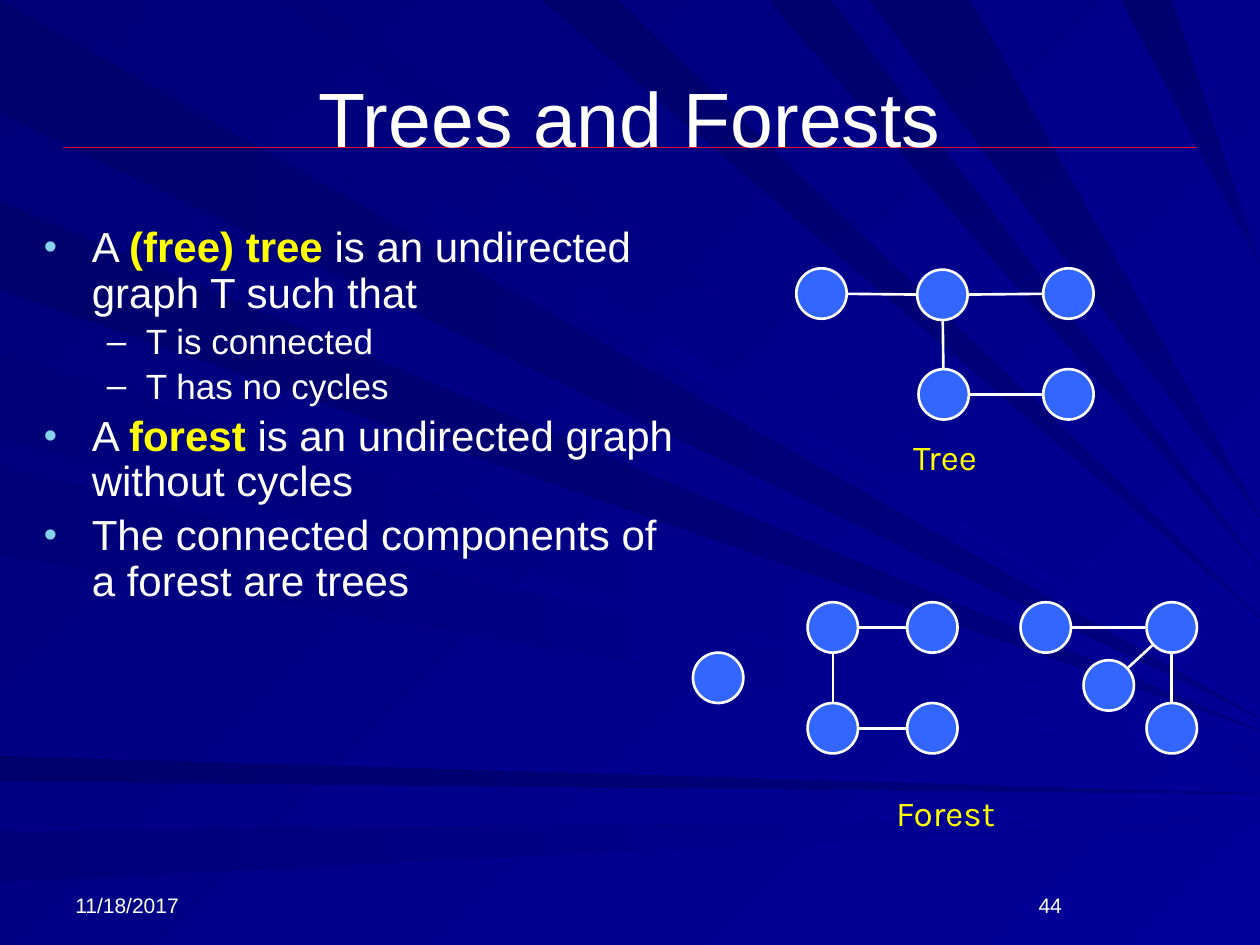
from math import hypot
from lxml.etree import SubElement
from pptx import Presentation
from pptx.dml.color import RGBColor
from pptx.enum.shapes import MSO_CONNECTOR, MSO_SHAPE
from pptx.enum.text import MSO_ANCHOR, PP_ALIGN
from pptx.oxml.ns import qn
from pptx.util import Inches, Pt

WHITE = RGBColor.from_string("FFFFFF")
YELLOW = RGBColor.from_string("FFFF00")
BLUE = RGBColor.from_string("3366FF")
RED = RGBColor.from_string("EF0129")
NAVY = RGBColor.from_string("000078")
ROYAL = RGBColor.from_string("000099")
DEEP = RGBColor.from_string("00006C")
DUSK = RGBColor.from_string("000080")
BULLET = "86D1EC"
DARK, SOFT = (DEEP, DUSK), (NAVY, ROYAL)
WIDE, HIGH = 10, 7.5

# Rays narrow to a tip on the right edge: start, end, tip height, shades
LEFT_RAYS = [
    (0, 0.9, 5.7, DARK),
    (6, 6.2, 6.3, DARK),
    (6.6, 7, 6.5, SOFT),
    (1.6, 2.3, 5.8, DARK),
    (2.8, 3.5, 6, SOFT),
    (3.7, 4.4, 6.1, SOFT),
]
TOP_RAYS = [
    (0.3, 1, 5.6, SOFT),
    (2.2, 2.5, 5.5, SOFT),
    (4.3, 4.9, 4.9, DARK),
    (6.1, 6.6, 4.5, DARK),
    (6.9, 7.7, 4.1, DARK),
    (8.9, 9.3, 2.1, DARK),
]

# Level and runs; a True marks a highlighted term
BODY = [
    (0, [("A ", False), ("(free) tree ", True), ("is an undirected graph T such that", False)]),
    (1, [("T is connected", False)]),
    (1, [("T has no cycles", False)]),
    (0, [("A ", False), ("forest ", True), ("is an undirected graph without cycles", False)]),
    (0, [("The connected components of a forest are trees", False)]),
]
# Size, left margin, indent, bullet
LEVELS = [(24, 0.38, -0.38, "•"), (20, 0.81, -0.31, "–")]

# Node centres by letter, and the pairs they join
NODES = {
    "a": (6.52, 2.33), "b": (7.48, 2.34), "c": (8.48, 2.33),
    "d": (7.49, 3.13), "e": (8.48, 3.13),
    "f": (5.7, 5.38),
    "g": (6.61, 4.98), "h": (7.4, 4.98), "i": (6.61, 5.78), "j": (7.4, 5.78),
    "k": (8.3, 4.98), "l": (9.3, 4.98), "m": (9.3, 5.78), "n": (8.8, 5.44),
}
EDGES = ["ab", "bc", "bd", "de", "gh", "gi", "ij", "kl", "lm", "ln"]
NODE = 0.4
GAP = 0.21

# Text, box, size, font, colour, alignment, anchor
LABELS = [
    ("11/18/2017", (0.5, 6.83, 2.33, 0.5), 12, "Arial", WHITE, PP_ALIGN.LEFT, MSO_ANCHOR.BOTTOM),
    ("44", (7.17, 6.83, 2.33, 0.5), 12, "Arial", WHITE, PP_ALIGN.CENTER, MSO_ANCHOR.BOTTOM),
    ("Tree", (5.94, 3.41, 3.12, 0.43), 20, "Karla", YELLOW, PP_ALIGN.CENTER, MSO_ANCHOR.TOP),
    ("Forest", (5.51, 6.23, 3.99, 0.43), 20, "Karla", YELLOW, PP_ALIGN.CENTER, MSO_ANCHOR.TOP),
]


def shade(fill, colors, angle):
    """Fill with a gradient; the angle runs counter-clockwise."""
    fill.gradient()
    fill.gradient_angle = angle
    for stop, color in zip(fill.gradient_stops, colors):
        stop.color.rgb = color


def style(font, size, name, color, bold=False):
    font.size, font.name, font.bold = Pt(size), name, bold
    font.color.rgb = color


def add_ray(shapes, corners, colors, angle):
    points = [(Inches(x), Inches(y)) for x, y in corners]
    form = shapes.build_freeform(*points[0])
    form.add_line_segments(points[1:], close=True)
    ray = form.convert_to_shape()
    ray.shadow.inherit = False
    ray.line.fill.background()
    shade(ray.fill, colors, angle)


def add_line(shapes, start, end, color, width):
    line = shapes.add_connector(MSO_CONNECTOR.STRAIGHT, *map(Inches, start + end))
    line.line.color.rgb = color
    line.line.width = Pt(width)
    SubElement(line.element.spPr, qn("a:effectLst"))


def add_node(shapes, x, y):
    box = (x - NODE / 2, y - NODE / 2, NODE, NODE)
    node = shapes.add_shape(MSO_SHAPE.OVAL, *map(Inches, box))
    node.shadow.inherit = False
    node.fill.solid()
    node.fill.fore_color.rgb = BLUE
    node.line.color.rgb = WHITE
    node.line.width = Pt(1.5)


def add_edge(shapes, start, end):
    """Draw a line that stops at the rim of both nodes."""
    (x1, y1), (x2, y2) = start, end
    part = GAP / hypot(x2 - x1, y2 - y1)
    dx, dy = (x2 - x1) * part, (y2 - y1) * part
    add_line(shapes, (x1 + dx, y1 + dy), (x2 - dx, y2 - dy), WHITE, 1.5)


def add_box(shapes, box):
    frame = shapes.add_textbox(*map(Inches, box)).text_frame
    frame.word_wrap = True
    return frame


def add_body(shapes):
    frame = add_box(shapes, (0.25, 1.75, 5.25, 5.17))
    for i, (level, runs) in enumerate(BODY):
        para = frame.add_paragraph() if i else frame.paragraphs[0]
        size, margin, indent, mark = LEVELS[level]
        para.level = level
        para.line_spacing = 0.9
        para.space_before = Pt(size * 0.2)
        props = para._p.get_or_add_pPr()
        props.set("marL", str(Inches(margin)))
        props.set("indent", str(Inches(indent)))
        if level == 0:
            color = SubElement(props, qn("a:buClr"))
            SubElement(color, qn("a:srgbClr"), val=BULLET)
            SubElement(props, qn("a:buSzPct"), val="90000")
        SubElement(props, qn("a:buFont"), typeface="Arial")
        SubElement(props, qn("a:buChar"), char=mark)
        for text, term in runs:
            run = para.add_run()
            run.text = text
            style(run.font, size, "Arial", YELLOW if term else WHITE, term)


def main():
    deck = Presentation()
    deck.slide_width, deck.slide_height = Inches(WIDE), Inches(HIGH)
    slide = deck.slides.add_slide(deck.slide_layouts[5])
    shapes = slide.shapes
    shade(slide.background.fill, SOFT, 315)
    for start, end, tip, colors in LEFT_RAYS:
        add_ray(shapes, [(0, start), (WIDE, tip), (0, end)], colors, 0)
    for start, end, tip, colors in TOP_RAYS:
        add_ray(shapes, [(start, 0), (end, 0), (WIDE, tip)], colors, 315)
    add_line(shapes, (0.5, 1.17), (9.5, 1.17), RED, 0.75)

    title = shapes.title
    title.left, title.top, title.width, title.height = map(Inches, (0.5, 0.3, 9, 1.25))
    title.element.getparent().append(title.element)  # in front of the rays
    title.text_frame.text = "Trees and Forests"
    title.text_frame.vertical_anchor = MSO_ANCHOR.MIDDLE
    head = title.text_frame.paragraphs[0]
    head.alignment = PP_ALIGN.CENTER
    style(head.runs[0].font, 44, "Arial", WHITE)

    add_body(shapes)
    for text, box, size, font, color, align, anchor in LABELS:
        frame = add_box(shapes, box)
        frame.text = text
        frame.vertical_anchor = anchor
        para = frame.paragraphs[0]
        para.alignment = align
        style(para.runs[0].font, size, font, color)
    for x, y in NODES.values():
        add_node(shapes, x, y)
    for a, b in EDGES:
        add_edge(shapes, NODES[a], NODES[b])
    deck.save("out.pptx")


if __name__ == "__main__":
    main()
